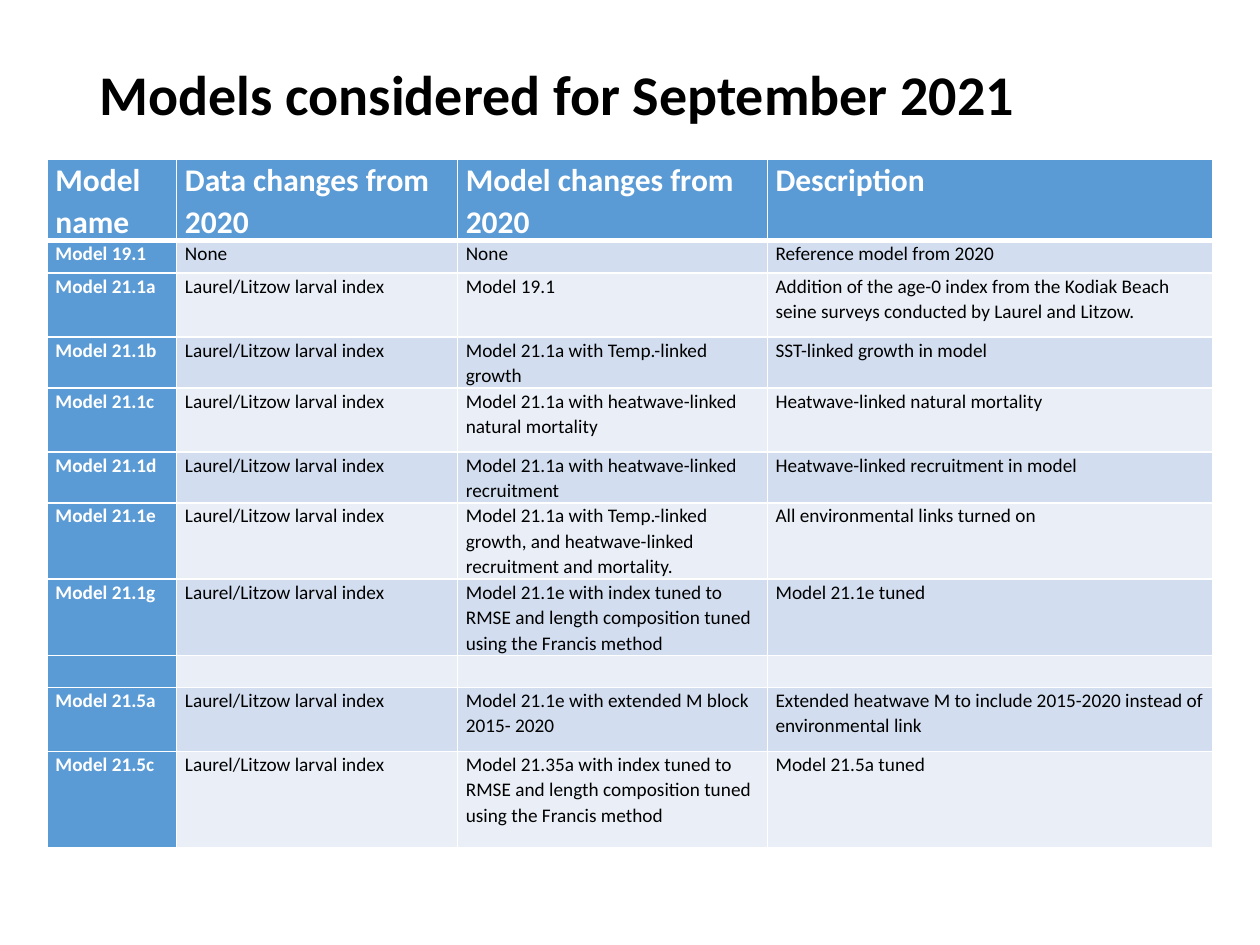
"""Build a slide with a table of the models considered for September 2021."""
from dataclasses import dataclass

from lxml import etree
from pptx import Presentation
from pptx.dml.color import RGBColor
from pptx.enum.text import MSO_ANCHOR
from pptx.oxml.ns import qn
from pptx.util import Pt

MIDDLE = MSO_ANCHOR.MIDDLE
LARVAL_INDEX = "Laurel/Litzow larval index"


@dataclass(frozen=True)
class Theme:
    font: str = "Calibri"
    ink: str = "000000"
    paper: str = "FFFFFF"
    accent: str = "5B9BD5"
    bands: tuple[str, str] = ("D2DEEF", "EAEFF7")
    title_size: float = 32
    header_size: float = 18
    body_size: float = 11
    title_spacing: float = 0.9
    cell_spacing: float = 1.07
    cell_margin: float = 4.7
    thin: float = 1
    thick: float = 3


@dataclass(frozen=True)
class TextStyle:
    size: float
    color: str
    bold: bool
    spacing: float


@dataclass(frozen=True)
class ModelRow:
    height: float
    name: str = ""
    data_changes: str = ""
    model_changes: str = ""
    description: str = ""

    @property
    def texts(self) -> tuple[str, ...]:
        return self.name, self.data_changes, self.model_changes, self.description


THEME = Theme()
TITLE_STYLE = TextStyle(THEME.title_size, THEME.ink, True, THEME.title_spacing)
HEADER_STYLE = TextStyle(THEME.header_size, THEME.paper, True, THEME.cell_spacing)
NAME_STYLE = TextStyle(THEME.body_size, THEME.paper, True, THEME.cell_spacing)
BODY_STYLE = TextStyle(THEME.body_size, THEME.ink, False, THEME.cell_spacing)

COLUMN_WIDTHS = (74, 160.5, 177, 254.5)
ROWS = (
    ModelRow(46.5, "Model name", "Data changes from 2020", "Model changes from 2020", "Description"),
    ModelRow(18.5, "Model 19.1", "None", "None", "Reference model from 2020"),
    ModelRow(36.7, "Model 21.1a", LARVAL_INDEX, "Model 19.1",
             "Addition of the age-0 index from the Kodiak Beach seine surveys conducted by Laurel and Litzow."),
    ModelRow(29, "Model 21.1b", LARVAL_INDEX, "Model 21.1a with Temp.-linked growth",
             "SST-linked growth in model"),
    ModelRow(36.7, "Model 21.1c", LARVAL_INDEX, "Model 21.1a with heatwave-linked natural mortality",
             "Heatwave-linked natural mortality"),
    ModelRow(29, "Model 21.1d", LARVAL_INDEX, "Model 21.1a with heatwave-linked recruitment",
             "Heatwave-linked recruitment in model"),
    ModelRow(43.6, "Model 21.1e", LARVAL_INDEX,
             "Model 21.1a with Temp.-linked growth, and heatwave-linked recruitment and mortality.",
             "All environmental links turned on"),
    ModelRow(43.6, "Model 21.1g", LARVAL_INDEX,
             "Model 21.1e with index tuned to RMSE and length composition tuned using the Francis method",
             "Model 21.1e tuned"),
    ModelRow(18.2),
    ModelRow(36.7, "Model 21.5a", LARVAL_INDEX, "Model 21.1e with extended M block 2015- 2020",
             "Extended heatwave M to include 2015-2020 instead of environmental link"),
    ModelRow(55, "Model 21.5c", LARVAL_INDEX,
             "Model 21.35a with index tuned to RMSE and length composition tuned using the Francis method",
             "Model 21.5a tuned"),
)


def write_text(text_frame, text: str, style: TextStyle) -> None:
    paragraph = text_frame.paragraphs[0]
    paragraph.line_spacing = style.spacing
    if not text:
        end_properties = etree.SubElement(paragraph._p, qn("a:endParaRPr"))
        end_properties.set("sz", str(int(style.size * 100)))
        return
    run = paragraph.add_run()
    run.text = text
    run.font.name = THEME.font
    run.font.size = Pt(style.size)
    run.font.bold = style.bold
    run.font.color.rgb = RGBColor.from_string(style.color)


def add_title(slide, text: str) -> None:
    shape = slide.shapes.add_textbox(Pt(49.7), Pt(28.8), Pt(620.6), Pt(53.3))
    shape.text_frame.word_wrap = True
    shape.text_frame.vertical_anchor = MIDDLE
    write_text(shape.text_frame, text, TITLE_STYLE)


def set_borders(cell, top: float, bottom: float) -> None:
    properties = cell._tc.get_or_add_tcPr()
    widths = {"a:lnL": THEME.thin, "a:lnR": THEME.thin, "a:lnT": top, "a:lnB": bottom}
    for tag, width in widths.items():
        line = etree.SubElement(properties, qn(tag), w=str(Pt(width)))
        fill = etree.SubElement(line, qn("a:solidFill"))
        etree.SubElement(fill, qn("a:srgbClr"), val=THEME.paper)


def fill_cell(cell, text: str, row_index: int, column_index: int) -> None:
    is_header = row_index == 0
    is_name = column_index == 0
    cell.margin_left = cell.margin_right = Pt(THEME.cell_margin)
    cell.margin_top = cell.margin_bottom = Pt(0)
    set_borders(cell,
                top=THEME.thick if row_index == 1 else THEME.thin,
                bottom=THEME.thick if is_header else THEME.thin)
    color = THEME.accent if is_header or is_name else THEME.bands[(row_index - 1) % 2]
    cell.fill.solid()
    cell.fill.fore_color.rgb = RGBColor.from_string(color)
    style = HEADER_STYLE if is_header else NAME_STYLE if is_name else BODY_STYLE
    write_text(cell.text_frame, text, style)


def add_model_table(slide, rows: tuple[ModelRow, ...]) -> None:
    height = sum(row.height for row in rows)
    table = slide.shapes.add_table(len(rows), len(COLUMN_WIDTHS), Pt(27), Pt(91),
                                   Pt(sum(COLUMN_WIDTHS)), Pt(height)).table
    for column, width in zip(table.columns, COLUMN_WIDTHS):
        column.width = Pt(width)
    for row_index, row in enumerate(rows):
        table.rows[row_index].height = Pt(row.height)
        for column_index, text in enumerate(row.texts):
            fill_cell(table.cell(row_index, column_index), text, row_index, column_index)


def main() -> None:
    presentation = Presentation()
    presentation.slide_width, presentation.slide_height = Pt(720), Pt(540)
    slide = presentation.slides.add_slide(presentation.slide_layouts[6])
    add_title(slide, "Models considered for September 2021")
    add_model_table(slide, ROWS)
    presentation.save("out.pptx")


if __name__ == "__main__":
    main()
